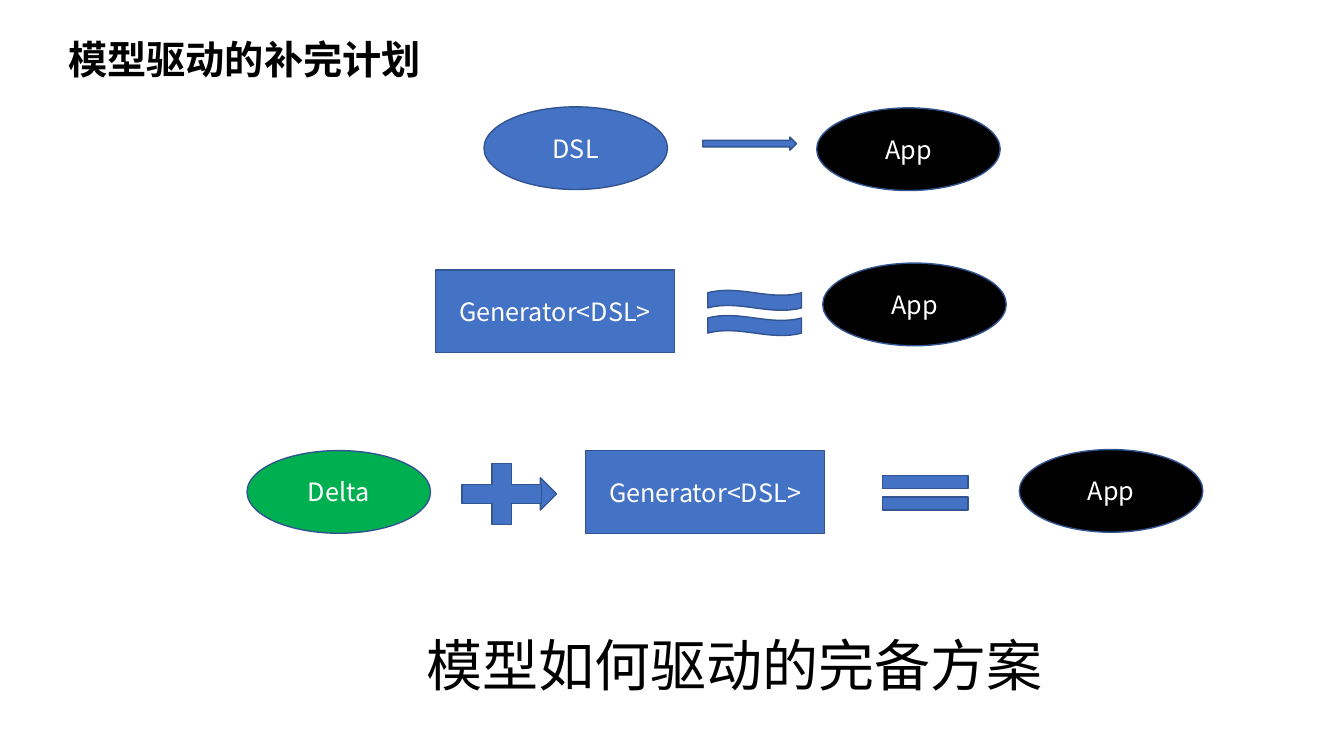
import dataclasses

import lxml.etree
import pptx
import pptx.dml.color
import pptx.enum.shapes
import pptx.enum.text
import pptx.oxml.ns
import pptx.util

Inches = pptx.util.Inches
Kind = pptx.enum.shapes.MSO_SHAPE
Align = pptx.enum.text.PP_ALIGN


@dataclasses.dataclass(frozen=True)
class Theme:
    """Colours, type sizes and font of the slide."""
    blue: str = "4472C4"
    green: str = "00B050"
    black: str = "000000"
    white: str = "FFFFFF"
    edge: str = "325491"
    font: str = "Noto Sans CJK SC"
    label: int = 18
    title: int = 28
    closing: int = 40
    stroke: int = 1


THEME = Theme()


@dataclasses.dataclass(frozen=True)
class Node:
    """A filled shape with an optional label."""
    kind: Kind
    left: float
    top: float
    width: float
    height: float
    fill: str = THEME.blue
    text: str = ""
    tweaks: tuple[float, ...] = ()


@dataclasses.dataclass(frozen=True)
class Line:
    """A free line of text."""
    text: str
    left: float
    top: float
    width: float
    height: float
    size: int
    bold: bool
    align: Align


def oval(text: str, left: float, top: float, fill: str) -> Node:
    """Describe a labelled oval."""
    return Node(Kind.OVAL, left, top, 1.82, 0.82, fill, text)


def app(left: float, top: float) -> Node:
    """Describe the black oval that ends each row."""
    return oval("App", left, top, THEME.black)


def maker(left: float, top: float) -> Node:
    """Describe a generator box."""
    return Node(Kind.RECTANGLE, left, top, 2.37, 0.82, text="Generator<DSL>")


MAP_ROW = [
    oval("DSL", 4.8, 1.06, THEME.blue),
    app(8.1, 1.07),
    Node(Kind.RIGHT_ARROW, 6.97, 1.36, 0.93, 0.13),
]
NEAR_ROW = [
    maker(4.32, 2.68),
    *(Node(Kind.WAVE, 7.02, top, 0.93, 0.2) for top in (2.88, 3.13)),
    app(8.16, 2.61),
]
FULL_ROW = [
    oval("Delta", 2.45, 4.47, THEME.green),
    maker(5.81, 4.47),
    Node(Kind.RIGHT_ARROW, 4.6, 4.74, 0.92, 0.32, tweaks=(0.337, 0.5)),
    Node(Kind.MATH_PLUS, 4.44, 4.49, 1.07, 0.82),
    *(Node(Kind.RECTANGLE, 8.75, top, 0.85, 0.13) for top in (4.93, 4.72)),
    app(10.11, 4.46),
]
LINES = [
    Line("模型驱动的补完计划", 0.58, 0.3, 3.86, 0.57, THEME.title, True, Align.LEFT),
    Line("模型如何驱动的完备方案", 2, 6.21, 10.57, 0.77, THEME.closing, False, Align.CENTER),
]


def tint(code: str) -> pptx.dml.color.RGBColor:
    """Turn a hex code into a colour."""
    return pptx.dml.color.RGBColor.from_string(code)


def write(frame, text: str, size: int, shade: str, align: Align, bold: bool = False) -> None:
    """Fill a text frame with one styled line."""
    frame.text = text
    para = frame.paragraphs[0]
    para.alignment = align
    font = para.runs[0].font
    font.size = pptx.util.Pt(size)
    font.bold = bold
    font.color.rgb = tint(shade)
    font.name = THEME.font
    props = para.runs[0]._r.get_or_add_rPr()
    lxml.etree.SubElement(props, pptx.oxml.ns.qn("a:ea"), typeface=THEME.font)


def draw(slide, node: Node) -> None:
    """Draw one node."""
    place = map(Inches, (node.left, node.top, node.width, node.height))
    shape = slide.shapes.add_shape(node.kind, *place)
    shape.shadow.inherit = False
    shape.fill.solid()
    shape.fill.fore_color.rgb = tint(node.fill)
    shape.line.color.rgb = tint(THEME.edge)
    shape.line.width = pptx.util.Pt(THEME.stroke)
    for index, value in enumerate(node.tweaks):
        shape.adjustments[index] = value
    if node.text:
        shape.text_frame.vertical_anchor = pptx.enum.text.MSO_ANCHOR.MIDDLE
        write(shape.text_frame, node.text, THEME.label, THEME.white, Align.CENTER)


def print_line(slide, line: Line) -> None:
    """Place one free line of text."""
    place = map(Inches, (line.left, line.top, line.width, line.height))
    frame = slide.shapes.add_textbox(*place).text_frame
    frame.word_wrap = True
    frame.auto_size = pptx.enum.text.MSO_AUTO_SIZE.SHAPE_TO_FIT_TEXT
    write(frame, line.text, line.size, THEME.black, line.align, line.bold)


def main() -> None:
    """Build and save the slide."""
    deck = pptx.Presentation()
    deck.slide_width, deck.slide_height = Inches(13.33), Inches(7.5)
    slide = deck.slides.add_slide(deck.slide_layouts[6])
    for node in MAP_ROW + NEAR_ROW + FULL_ROW:
        draw(slide, node)
    for line in LINES:
        print_line(slide, line)
    deck.save("out.pptx")


if __name__ == "__main__":
    main()
